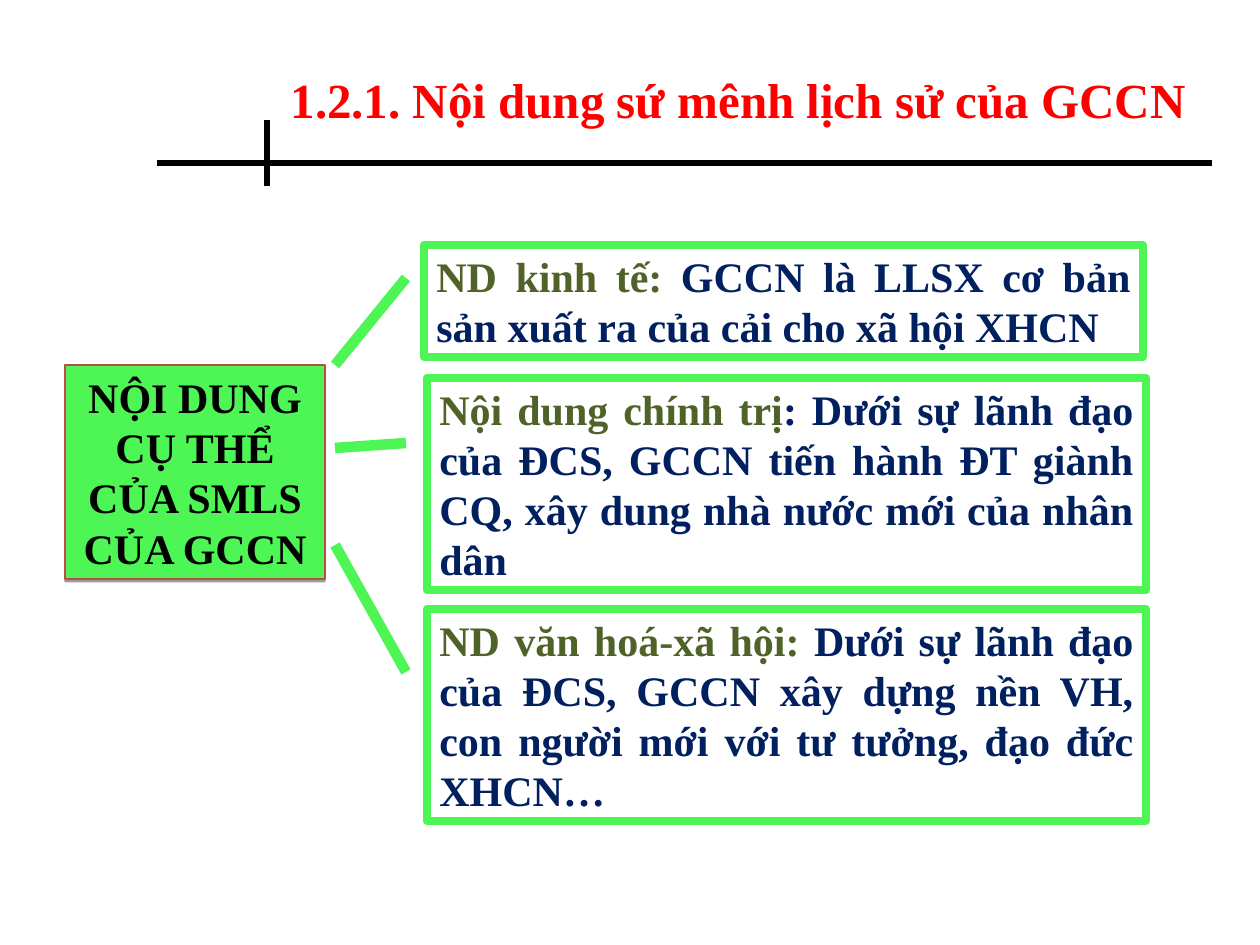
from lxml.etree import SubElement
from pptx import Presentation
from pptx.dml.color import RGBColor
from pptx.enum.shapes import MSO_CONNECTOR, MSO_SHAPE
from pptx.enum.text import MSO_ANCHOR, MSO_AUTO_SIZE, PP_ALIGN
from pptx.oxml.ns import qn
from pptx.util import Emu, Pt

SCALE = 914400 / 126
FONT = "Times New Roman"
GREEN, OLIVE, NAVY, BLACK, RED = "4DF555", "4F6228", "002060", "000000", "FF0000"


def px(length):
    """Turn a length in px into EMU."""
    return Emu(round(length * SCALE))


def color(value):
    """Turn a hex string into a colour."""
    return RGBColor.from_string(value)


def add_run(paragraph, text, size, fill):
    """Add one bold run to a paragraph."""
    run = paragraph.add_run()
    run.text = text
    run.font.name = FONT
    run.font.size = Pt(size)
    run.font.bold = True
    run.font.color.rgb = color(fill)


def prepare_text(shape, alignment):
    """Set up the text frame of a shape and return its first paragraph."""
    frame = shape.text_frame
    frame.word_wrap = True
    frame.auto_size = MSO_AUTO_SIZE.NONE
    frame.vertical_anchor = MSO_ANCHOR.TOP
    paragraph = frame.paragraphs[0]
    paragraph.alignment = alignment
    return paragraph


def add_line(slide, start, end, stroke, width):
    """Draw a straight line without shadow."""
    line = slide.shapes.add_connector(
        MSO_CONNECTOR.STRAIGHT, *map(px, start), *map(px, end))
    line.line.color.rgb = color(stroke)
    line.line.width = Pt(width)
    SubElement(line._element.spPr, qn("a:effectLst"))


def add_box(slide, box, stroke, width):
    """Draw an unfilled rectangle with an outline."""
    shape = slide.shapes.add_shape(MSO_SHAPE.RECTANGLE, *map(px, box))
    shape.shadow.inherit = False
    shape.fill.background()
    shape.line.color.rgb = color(stroke)
    shape.line.width = Pt(width)
    return shape


def add_header(slide, box):
    """Place the title and the crossed rules below it."""
    left, top, width, height = box
    title = slide.shapes.title
    title.left, title.top = px(left + 116), px(top)
    title.width, title.height = px(930), px(72)
    paragraph = prepare_text(title, PP_ALIGN.CENTER)
    add_run(paragraph, "1.2.1. Nội dung sứ mênh lịch sử của GCCN", 28, RED)
    add_line(slide, (left, top + 100), (left + width, top + 100), BLACK, 3)
    add_line(slide, (left + 110, top + 57), (left + 110, top + height), BLACK, 3)


def add_topic(slide, box):
    """Place the green topic box with its drop shadow."""
    shape = add_box(slide, box, "BE4B48", 0.75)
    shape.fill.solid()
    shape.fill.fore_color.rgb = color(GREEN)
    effects = shape._element.spPr.find(qn("a:effectLst"))
    shadow = SubElement(effects, qn("a:outerShdw"), blurRad="0", dist=str(Pt(1.6)),
                        dir="5400000", rotWithShape="0")
    shade = SubElement(shadow, qn("a:srgbClr"), val=BLACK)
    SubElement(shade, qn("a:alpha"), val="38000")
    paragraph = prepare_text(shape, PP_ALIGN.CENTER)
    add_run(paragraph, "NỘI DUNG CỤ THỂ CỦA SMLS CỦA GCCN", 24, BLACK)


def add_branches(slide, box):
    """Draw the three lines that fan out from the topic."""
    left, top, width, height = box
    for start, end in ((87, 0), (170, 165), (267, height)):
        add_line(slide, (left + width, top + end), (left, top + start), GREEN, 6)


def add_content(slide, box, heading, body):
    """Place one outlined content box with a coloured heading."""
    shape = add_box(slide, box, GREEN, 4.5)
    paragraph = prepare_text(shape, PP_ALIGN.JUSTIFY)
    paragraph.line_spacing = Pt(28.5)
    add_run(paragraph, heading, 24, OLIVE)
    add_run(paragraph, body, 24, NAVY)


def main():
    """Build and save the slide."""
    presentation = Presentation()
    presentation.slide_width, presentation.slide_height = px(1260), px(945)
    slide = presentation.slides.add_slide(presentation.slide_layouts[5])
    add_header(slide, (157, 63, 1055, 123))
    add_topic(slide, (65, 365, 260, 214))
    add_branches(slide, (335, 278, 71, 394))
    contents = (
        ((424, 245, 719, 112), "ND kinh tế: ",
         "GCCN là LLSX cơ bản sản xuất ra của cải cho xã hội XHCN"),
        ((427, 378, 719, 212), "Nội dung chính trị",
         ": Dưới sự lãnh đạo của ĐCS, GCCN tiến hành ĐT giành CQ, "
         "xây dung nhà nước mới của nhân dân"),
        ((427, 609, 719, 212), "ND văn hoá-xã hội: ",
         "Dưới sự lãnh đạo của ĐCS, GCCN xây dựng nền VH, "
         "con người mới với tư tưởng, đạo đức XHCN…"),
    )
    for box, heading, body in contents:
        add_content(slide, box, heading, body)
    presentation.save("out.pptx")


if __name__ == "__main__":
    main()
